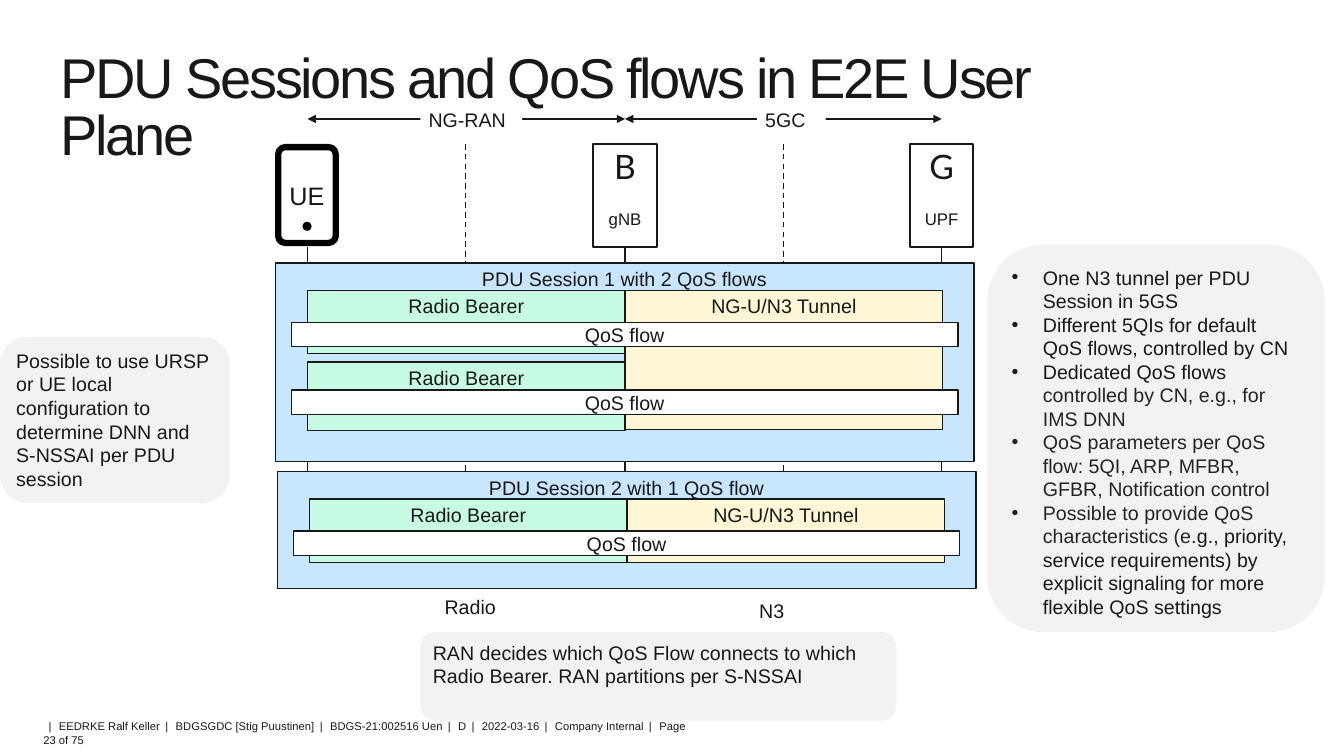
"""Build the slide on PDU sessions and QoS flows in the user plane."""
from dataclasses import dataclass

from lxml import etree
from pptx import Presentation
from pptx.dml.color import RGBColor
from pptx.enum.dml import MSO_LINE
from pptx.enum.shapes import MSO_CONNECTOR, MSO_SHAPE
from pptx.enum.text import MSO_ANCHOR, PP_ALIGN
from pptx.oxml.ns import qn
from pptx.util import Inches, Pt

RECT = MSO_SHAPE.RECTANGLE
ROUND = MSO_SHAPE.ROUNDED_RECTANGLE
NOTE = MSO_SHAPE.FLOWCHART_ALTERNATE_PROCESS
OVAL = MSO_SHAPE.OVAL
STRAIGHT = MSO_CONNECTOR.STRAIGHT
DASH = MSO_LINE.DASH
LEFT, CENTER = PP_ALIGN.LEFT, PP_ALIGN.CENTER
TOP, MIDDLE = MSO_ANCHOR.TOP, MSO_ANCHOR.MIDDLE
COLORS = {"ink": "181818", "soft": "242424", "foot": "1A1816", "black": "010101",
          "white": "FFFFFF", "gray": "F2F2F2", "blue": "C9E6FF",
          "green": "C7FBE4", "cream": "FEF6D5"}
PAD = (0.08, 0.04, 0.08, 0.04)
UE_X, GNB_X, UPF_X = 3.05, 6.2, 9.34
NODE_W, NODE_H, NODE_Y = 0.63, 1.02, 1.43
SPAN = 3.15


@dataclass
class Run:
    words: str
    color: str = "ink"
    size: float = 14
    font: str = "Arial"
    track: float = 0


@dataclass
class Para:
    runs: list[Run]
    before: float = 0


@dataclass
class Node:
    sign: str
    name: str
    x: float


@dataclass
class Session:
    title: str
    x: float
    y: float
    height: float
    tunnel: float
    bearers: list[tuple[float, float]]
    flows: list[float]


@dataclass
class Reach:
    name: str
    start: float
    end: float
    left: float
    width: float


deck = Presentation()
deck.slide_width, deck.slide_height = Inches(13.33), Inches(7.5)
slide = deck.slides.add_slide(deck.slide_layouts[6])


def shade(name: str) -> RGBColor:
    return RGBColor.from_string(COLORS[name])


def write(shape, text: str | list[Para], align=CENTER, anchor=TOP, pad=PAD, wrap: bool = True,
          bullet: bool = False, lead: float | None = None, **style) -> None:
    frame = shape.text_frame
    frame.word_wrap, frame.vertical_anchor = wrap, anchor
    frame.margin_left, frame.margin_top, frame.margin_right, frame.margin_bottom = map(Inches, pad)
    paras = [Para([Run(text, **style)])] if isinstance(text, str) else text
    for index, item in enumerate(paras):
        para = frame.add_paragraph() if index else frame.paragraphs[0]
        if bullet:
            props = para._p.get_or_add_pPr()
            props.set("marL", str(Inches(0.31)))
            props.set("indent", str(Inches(-0.31)))
            etree.SubElement(props, qn("a:buFont")).set("typeface", "Arial")
            etree.SubElement(props, qn("a:buChar")).set("char", "•")
        para.alignment = align
        if item.before:
            para.space_before = Pt(item.before)
        if lead:
            para.line_spacing = lead
        for part in item.runs:
            run = para.add_run()
            run.text = part.words
            run.font.size, run.font.name = Pt(part.size), part.font
            run.font.color.rgb = shade(part.color)
            if part.track:
                run._r.get_or_add_rPr().set("spc", str(round(part.track * 100)))


def label(x: float, y: float, w: float, h: float, text: str | list[Para], **style) -> None:
    write(slide.shapes.add_textbox(*map(Inches, (x, y, w, h))), text, align=LEFT, **style)


def block(x: float, y: float, w: float, h: float, fill: str, kind=RECT,
          edge: str | None = None, weight: float = 1):
    shape = slide.shapes.add_shape(kind, *map(Inches, (x, y, w, h)))
    shape.shadow.inherit = False
    shape.fill.solid()
    shape.fill.fore_color.rgb = shade(fill)
    if edge:
        shape.line.color.rgb, shape.line.width = shade(edge), Pt(weight)
    else:
        shape.line.fill.background()
    return shape


def wire(x: float, y: float, end_x: float, end_y: float, dash: bool = False, heads: bool = False):
    line = slide.shapes.add_connector(STRAIGHT, *map(Inches, (x, y, end_x, end_y)))
    line.line.color.rgb, line.line.width = shade("ink"), Pt(1)
    if dash:
        line.line.dash_style = DASH
    if heads:
        for tag in ("a:headEnd", "a:tailEnd"):
            etree.SubElement(line.line._get_or_add_ln(), qn(tag)).set("type", "triangle")
    etree.SubElement(line._element.spPr, qn("a:effectLst"))
    return line


def draw_node(node: Node) -> None:
    box = block(node.x - NODE_W / 2, NODE_Y, NODE_W, NODE_H, "white", edge="ink", weight=1.5)
    write(box, [Para([Run(node.sign, size=24, font="Lato")]),
                Para([Run(node.name, size=12)], before=16)], pad=(0, 0.02, 0, 0))
    wire(node.x, NODE_Y + NODE_H, node.x, 4.7).begin_connect(box, 2)


def draw_phone() -> None:
    wire(UE_X, 2.45, UE_X, 4.7)
    body = block(UE_X - 0.29, 1.46, 0.57, 0.95, "white", ROUND, "black", 4.5)
    body.adjustments[0] = 0.12
    write(body, "UE", anchor=MIDDLE, pad=(0, 0, 0, 0), size=18)
    block(UE_X - 0.05, 2.2, 0.09, 0.09, "black", OVAL)


def draw_session(item: Session) -> None:
    x, y = item.x, item.y
    write(block(x, y, 6.93, item.height, "blue", edge="ink"), item.title)
    write(block(x + 0.32 + SPAN, y + 0.27, SPAN, item.tunnel, "cream", edge="ink"), "NG-U/N3 Tunnel")
    for drop, height in item.bearers:
        write(block(x + 0.32, y + drop, SPAN, height, "green", edge="ink"), "Radio Bearer")
    for drop in item.flows:
        write(block(x + 0.16, y + drop, 6.61, 0.24, "white", edge="ink"), "QoS flow", anchor=MIDDLE)


def draw_reach(item: Reach) -> None:
    wire(item.start, 1.18, item.end, 1.18, heads=True)
    write(block(item.left, 1.03, item.width, 0.32, "white"), item.name, align=LEFT, wrap=False)


POINTS = [
    [Run("One N3 tunnel per PDU Session in 5GS")],
    [Run("Different 5QIs for default QoS flows, controlled by CN")],
    [Run("Dedicated QoS flows "), Run("controlled by CN, e.g., for IMS DNN", "soft")],
    [Run("QoS parameters per QoS flow: 5QI, ARP, MFBR, GFBR, Notification control", "soft")],
    [Run("Possible to provide QoS characteristics (e.", "soft"),
     Run("g., priority, service requirements) by explicit signaling for more flexible QoS settings")],
]
FOOT = ["EEDRKE Ralf Keller", "BDGSGDC [Stig Puustinen]", "BDGS-21:002516 Uen", "D",
        "2022-03-16", "Company Internal", "Page 23 of 75"]
NODES = [Node("B", "gNB", GNB_X), Node("G", "UPF", UPF_X)]
SESSIONS = [
    Session("PDU Session 1 with 2 QoS flows", 2.73, 2.61, 1.97, 1.38,
            [(0.27, 0.63), (0.98, 0.68)], [0.59, 1.26]),
    Session("PDU Session 2 with 1 QoS flow", 2.75, 4.68, 1.16, 0.63, [(0.27, 0.63)], [0.59]),
]
REACHES = [Reach("NG-RAN", UE_X, GNB_X, 4.17, 1.01), Reach("5GC", GNB_X, UPF_X, 7.51, 0.68)]

footer = [run for words in FOOT for run in (Run(" | ", "foot", 8, track=1.5), Run(words, "foot", 8))]
label(0.43, 7.14, 6.41, 0.13, [Para(footer)], pad=(0, 0, 0, 0))
write(block(9.79, 2.43, 3.35, 3.84, "gray", NOTE), [Para(runs) for runs in POINTS],
      align=LEFT, bullet=True)
write(block(4.17, 6.27, 4.72, 0.88, "gray", NOTE),
      "RAN decides which QoS Flow connects to which Radio Bearer. RAN partitions per S-NSSAI",
      align=LEFT)
label(0.52, 0.48, 10.85, 0.62, "PDU Sessions and QoS flows in E2E User Plane",
      pad=(0.08, 0.04, 0, 0), lead=0.85, size=40, track=-1.6)
draw_phone()
for node in NODES:
    draw_node(node)
for x in (4.62, 7.77):
    wire(x, NODE_Y, x, 4.69, dash=True)
label(4.33, 5.86, 0.67, 0.32, "Radio", wrap=False)
label(7.45, 5.9, 0.41, 0.32, "N3", wrap=False)
for item in SESSIONS:
    draw_session(item)
for reach in REACHES:
    draw_reach(reach)
write(block(0, 3.34, 2.28, 1.65, "gray", NOTE),
      "Possible to use URSP or UE local configuration to determine DNN and S-NSSAI per PDU session",
      align=LEFT)
deck.save("out.pptx")
